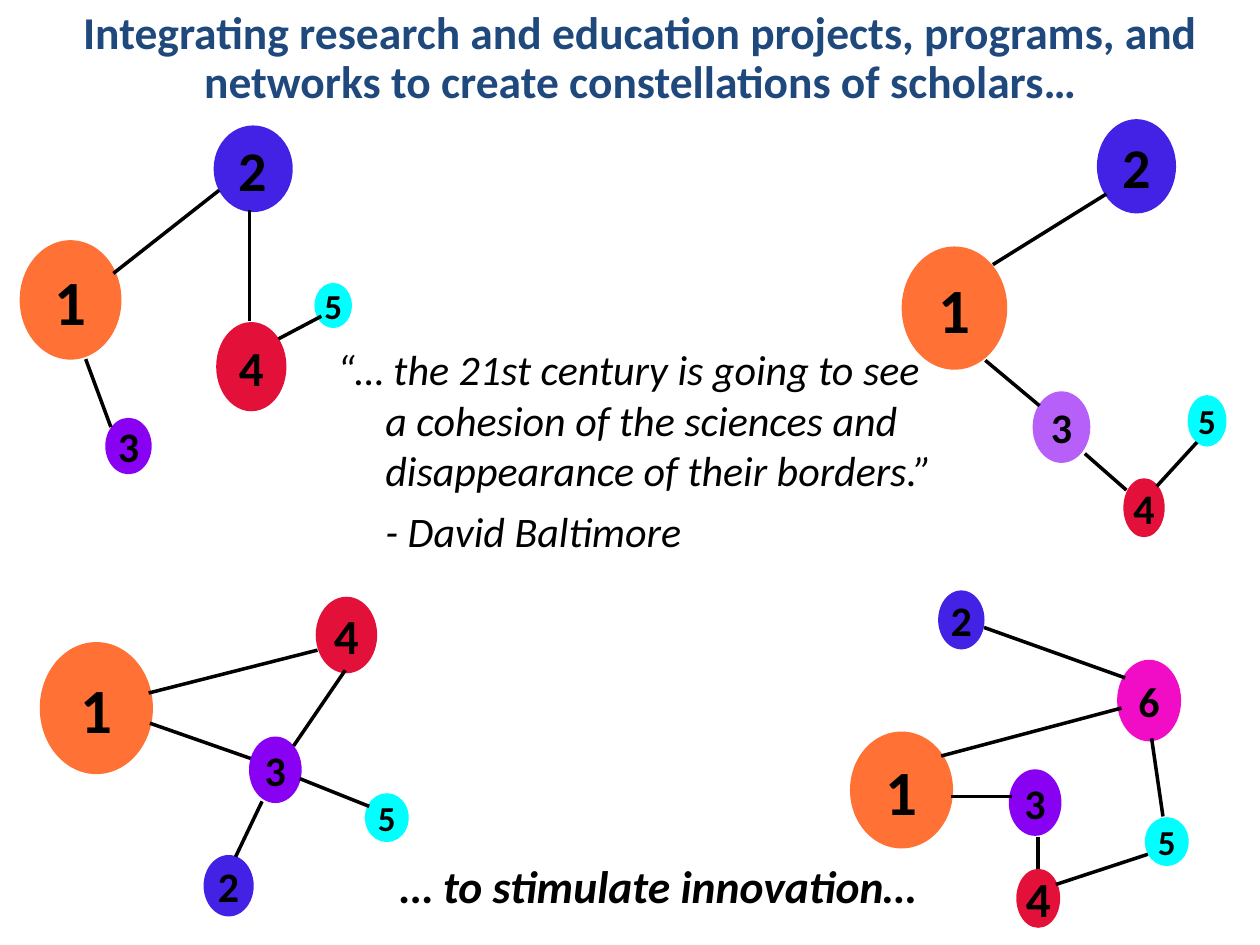
import pptx
import pptx.util
import pptx.dml.color
import pptx.enum.shapes
import pptx.enum.text
from lxml import etree

PX = 9144  # 100 px to the inch
FONT = "Calibri"
COLORS = {
    "navy": "1F497D", "black": "000000", "orange": "FF7135",
    "blue": "4322E6", "violet": "8901F3", "lilac": "B760F9",
    "red": "E31139", "cyan": "00FFFF", "pink": "F10DC6",
}

# Content
TITLE = ("Integrating research and education projects, programs, "
         "and networks to create constellations of scholars…")
QUOTE = ("“… the 21st century is going to see a cohesion of the "
         "sciences and disappearance of their borders.”")
SOURCE = "- David Baltimore"
CLOSE = "… to stimulate innovation…"

# Node: label, color, text size, (left, top, width, height)
# Link: x1, y1, x2, y2
NETS = [
    {"group": False, "nodes": [
        ("1", "orange", 36, (33, 511, 87, 102)),
        ("2", "blue", 24, (163, 680, 37, 46)),
        ("3", "violet", 24, (199, 586, 39, 50)),
        ("4", "red", 28, (252, 475, 46, 58)),
        ("5", "cyan", 20, (291, 631, 32, 36)),
    ], "links": [
        (118, 550, 252, 516), (233, 592, 274, 532), (208, 636, 187, 680),
        (238, 618, 293, 640), (119, 574, 199, 602),
    ]},
    {"group": True, "nodes": [
        ("1", "orange", 36, (17, 192, 78, 92)),
        ("2", "blue", 32, (171, 101, 60, 66)),
        ("3", "violet", 24, (85, 333, 34, 42)),
        ("4", "red", 28, (173, 257, 53, 68)),
        ("5", "cyan", 20, (251, 226, 27, 33)),
    ], "links": [
        (68, 285, 88, 339), (90, 217, 174, 151),
        (198, 167, 198, 255), (221, 269, 255, 251),
    ]},
    {"group": True, "nodes": [
        ("1", "orange", 36, (717, 197, 81, 95)),
        ("2", "blue", 32, (872, 96, 60, 72)),
        ("3", "lilac", 24, (821, 312, 43, 54)),
        ("4", "red", 24, (893, 381, 30, 44)),
        ("5", "cyan", 20, (944, 315, 28, 38)),
    ], "links": [
        (788, 210, 878, 154), (782, 286, 825, 322),
        (861, 360, 894, 389), (918, 386, 950, 351),
    ]},
    {"group": True, "nodes": [
        ("1", "orange", 36, (676, 582, 79, 90)),
        ("2", "blue", 24, (746, 470, 34, 44)),
        ("6", "pink", 24, (888, 525, 48, 62)),
        ("3", "violet", 24, (802, 612, 39, 50)),
        ("4", "red", 28, (808, 691, 32, 44)),
        ("5", "cyan", 20, (910, 650, 32, 36)),
    ], "links": [
        (747, 600, 890, 562), (781, 498, 893, 538), (755, 632, 803, 632),
        (824, 664, 824, 690), (838, 702, 911, 678), (914, 586, 923, 648),
    ]},
]


def emu(box):
    return [n * PX for n in box]


def rgb(name):
    return pptx.dml.color.RGBColor.from_string(COLORS[name])


def write(para, text, size, color="black", bold=False, italic=False):
    run = para.add_run()
    run.text = text
    font = run.font
    font.name, font.size = FONT, pptx.util.Pt(size)
    font.bold, font.italic = bold, italic
    font.color.rgb = rgb(color)


def add_node(shapes, label, color, size, box):
    oval = shapes.add_shape(pptx.enum.shapes.MSO_SHAPE.OVAL, *emu(box))
    oval.shadow.inherit = False
    oval.fill.solid()
    oval.fill.fore_color.rgb = rgb(color)
    oval.line.color.rgb = rgb(color)
    oval.line.width = pptx.util.Pt(2)
    frame = oval.text_frame
    frame.word_wrap = False
    frame.vertical_anchor = pptx.enum.text.MSO_ANCHOR.MIDDLE
    para = frame.paragraphs[0]
    para.alignment = pptx.enum.text.PP_ALIGN.CENTER
    write(para, label, size, bold=True)


def add_link(shapes, ends):
    line = shapes.add_connector(
        pptx.enum.shapes.MSO_CONNECTOR.STRAIGHT, *emu(ends))
    line.line.color.rgb = rgb("black")
    line.line.width = pptx.util.Pt(2)
    etree.SubElement(line._element.spPr,
                     pptx.oxml.ns.qn("a:effectLst"))


def main():
    deck = pptx.Presentation()
    deck.slide_width, deck.slide_height = emu((1000, 750))
    slide = deck.slides.add_slide(deck.slide_layouts[5])

    # Title
    title = slide.shapes.title
    title.left, title.top, title.width, title.height = emu((17, 8, 983, 92))
    frame = title.text_frame
    frame.margin_left = frame.margin_right = 0
    frame.margin_top = frame.margin_bottom = 0
    frame.word_wrap = True
    frame.auto_size = pptx.enum.text.MSO_AUTO_SIZE.NONE
    frame.vertical_anchor = pptx.enum.text.MSO_ANCHOR.TOP
    para = frame.paragraphs[0]
    para.alignment = pptx.enum.text.PP_ALIGN.CENTER
    para.line_spacing = 0.9
    write(para, TITLE, 26, "navy", bold=True)

    # Quote with a hanging first line, then its source
    frame = slide.shapes.add_textbox(*emu((258, 268, 492, 277))).text_frame
    frame.word_wrap = True
    for i, (text, hang) in enumerate([(QUOTE, -38), (SOURCE, 0)]):
        para = frame.add_paragraph() if i else frame.paragraphs[0]
        props = para._p.get_or_add_pPr()
        props.set("marL", str(38 * PX))
        props.set("indent", str(hang * PX))
        para.space_before = pptx.util.Pt(6 if i else 0)
        write(para, text, 24, italic=True)

    # Networks
    for net in NETS:
        shapes = slide.shapes
        if net["group"]:
            shapes = shapes.add_group_shape().shapes
        for node in net["nodes"]:
            add_node(shapes, *node)
        for ends in net["links"]:
            add_link(shapes, ends)

    # Closing line
    frame = slide.shapes.add_textbox(*emu((308, 676, 431, 54))).text_frame
    frame.word_wrap = False
    frame.auto_size = pptx.enum.text.MSO_AUTO_SIZE.SHAPE_TO_FIT_TEXT
    write(frame.paragraphs[0], CLOSE, 26, bold=True, italic=True)

    deck.save("out.pptx")


if __name__ == "__main__":
    main()
